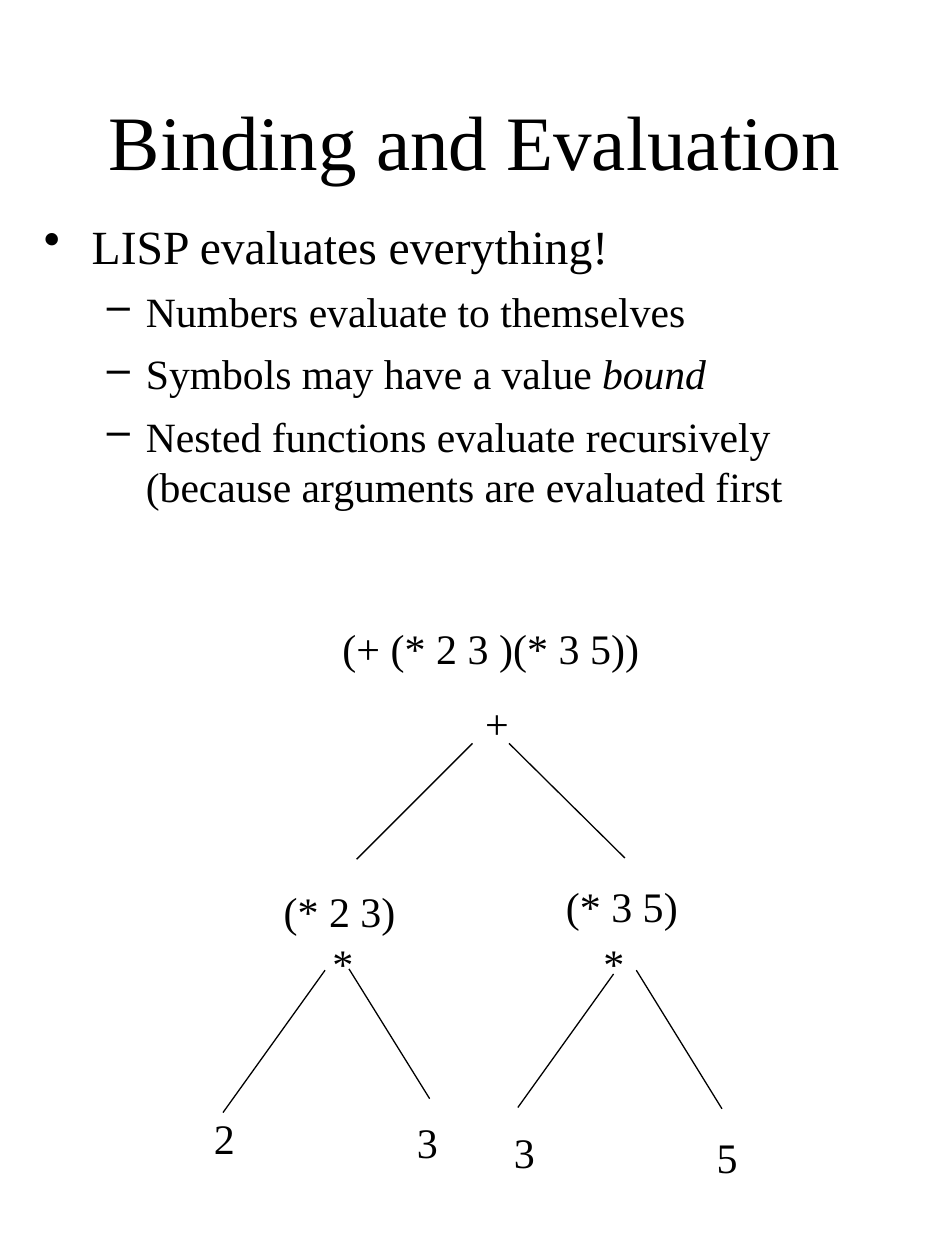
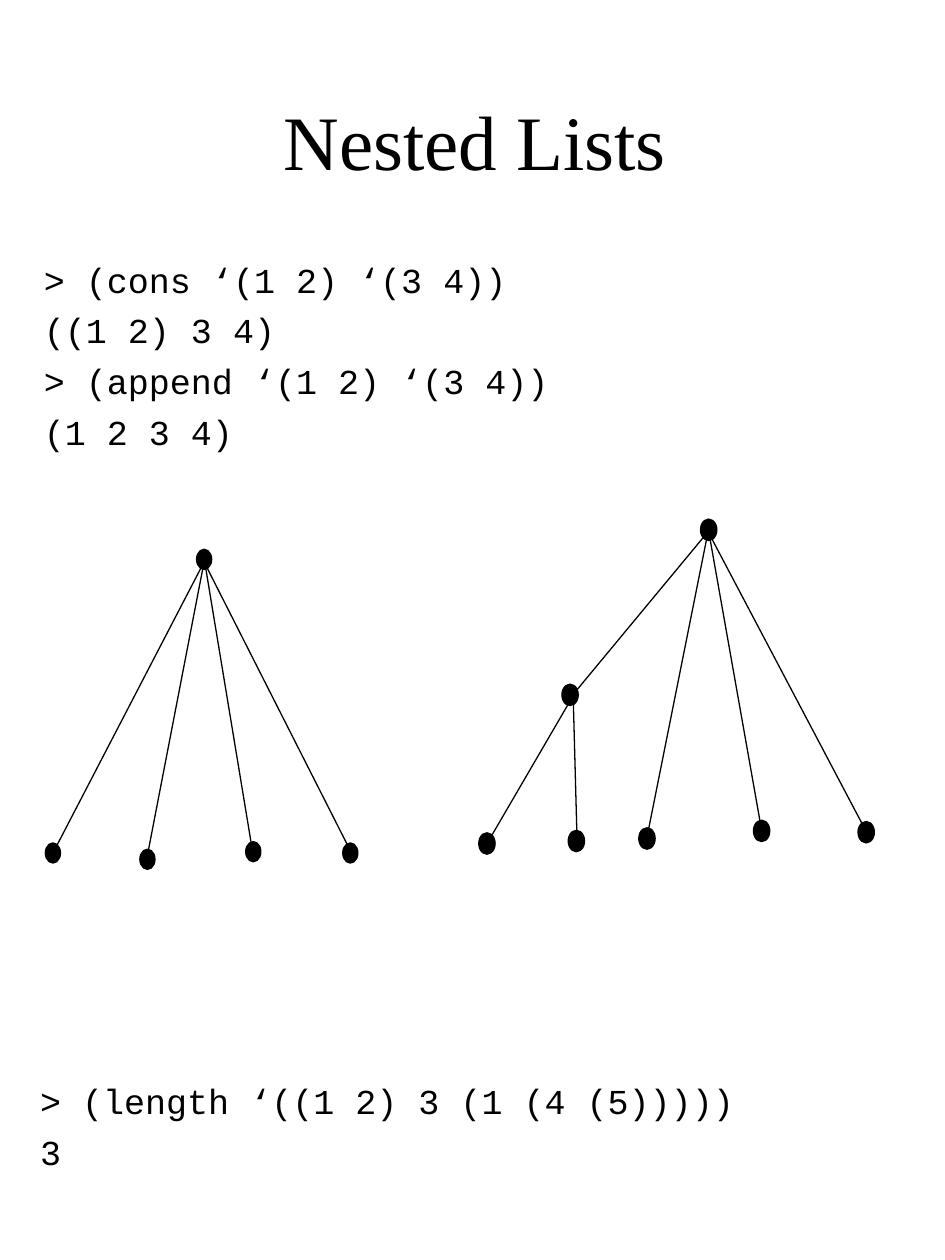
"""Build two slides on LISP evaluation and nested lists."""
from lxml.etree import SubElement
from pptx import Presentation
from pptx.dml.color import RGBColor
from pptx.enum.shapes import MSO_CONNECTOR, MSO_SHAPE
from pptx.enum.text import MSO_ANCHOR, MSO_AUTO_SIZE, PP_ALIGN
from pptx.oxml.ns import qn
from pptx.util import Pt

PX = 9144
BLACK = "000000"
LINE_WIDTH = Pt(0.75)
SERIF = "Times New Roman"
MONO = "Courier New"

STYLES = {
    "title": {"font": {"name": SERIF, "size": Pt(44)},
              "paragraph": {"alignment": PP_ALIGN.CENTER}},
    "point": {"font": {"name": SERIF, "size": Pt(27.2)}, "bullet": "•", "indent": (38, -38),
              "paragraph": {}},
    "subpoint": {"font": {"name": SERIF, "size": Pt(23.8)}, "bullet": "–", "indent": (81, -31),
                 "paragraph": {"space_before": Pt(7), "level": 1}},
    "code": {"font": {"name": MONO, "size": Pt(20)}, "indent": (38, -38),
             "paragraph": {"space_before": Pt(5)}},
    "label": {"font": {"name": SERIF, "size": Pt(24)},
              "paragraph": {"alignment": PP_ALIGN.CENTER}},
}


def add_text(slide, box, paragraphs, frame_format):
    """Add a text box; each paragraph is a style name followed by its runs."""
    frame = slide.shapes.add_textbox(*(value * PX for value in box)).text_frame
    for name, value in frame_format.items():
        setattr(frame, name, value)
    for index, (style_name, *texts) in enumerate(paragraphs):
        style = STYLES[style_name]
        paragraph = frame.add_paragraph() if index else frame.paragraphs[0]
        properties = paragraph._p.get_or_add_pPr()
        if "indent" in style:
            for name, value in zip(("marL", "indent"), style["indent"]):
                properties.set(name, str(value * PX))
        if "bullet" in style:
            SubElement(properties, qn("a:buChar")).set("char", style["bullet"])
        for name, value in style["paragraph"].items():
            if index or name != "space_before":
                setattr(paragraph, name, value)
        for position, text in enumerate(texts):
            run = paragraph.add_run()
            run.text = text
            for name, value in style["font"].items():
                setattr(run.font, name, value)
            run.font.italic = position == 1
            run.font.color.rgb = RGBColor.from_string(BLACK)


def add_line(shapes, *ends):
    """Add a thin black line between two points."""
    line = shapes.add_connector(MSO_CONNECTOR.STRAIGHT, *(value * PX for value in ends))
    line.line.color.rgb = RGBColor.from_string(BLACK)
    line.line.width = LINE_WIDTH
    SubElement(line._element.spPr, qn("a:effectLst"))


presentation = Presentation()
presentation.slide_width = 750 * PX
presentation.slide_height = 1000 * PX
blank_layout = presentation.slide_layouts[6]

wrapped = {"word_wrap": True}
centred = {"word_wrap": True, "vertical_anchor": MSO_ANCHOR.MIDDLE}
fitted = {"word_wrap": False, "auto_size": MSO_AUTO_SIZE.SHAPE_TO_FIT_TEXT}

slides = []
for title in ("Binding and Evaluation", "Nested Lists"):
    slide = presentation.slides.add_slide(blank_layout)
    add_text(slide, (58, 51, 638, 119), [("title", title)], centred)
    slides.append(slide)
evaluation_slide, lists_slide = slides

add_text(evaluation_slide, (25, 167, 700, 242), [
    ("point", "LISP evaluates everything!"),
    ("subpoint", "Numbers evaluate to themselves"),
    ("subpoint", "Symbols may have a value ", "bound"),
    ("subpoint", "Nested functions evaluate recursively (because arguments are evaluated first"),
], wrapped)

expression_labels = [
    ("(+ (* 2 3 )(* 3 5))", 259, 489, 261),
    ("+", 375, 549, 39),
    ("(* 2 3)", 215, 698, 109),
    ("(* 3 5)", 439, 694, 109),
    ("*", 254, 739, 36),
    ("*", 469, 739, 36),
    ("2", 160, 878, 36),
    ("3", 321, 881, 36),
    ("3", 398, 889, 36),
    ("5", 559, 893, 36),
]
for text, left, top, width in expression_labels:
    add_text(evaluation_slide, (left, top, width, 50), [("label", text)], fitted)

expression_branches = [
    (375, 590, 283, 682), (404, 590, 496, 681),
    (258, 770, 177, 883), (277, 769, 341, 872),
    (487, 773, 411, 879), (505, 770, 573, 880),
]
for branch in expression_branches:
    add_line(evaluation_slide.shapes, *branch)

add_text(lists_slide, (25, 200, 700, 192), [
    ("code", "> (cons ‘(1 2) ‘(3 4))"),
    ("code", "((1 2) 3 4)"),
    ("code", "> (append ‘(1 2) ‘(3 4))"),
    ("code", "(1 2 3 4)"),
], wrapped)
add_text(lists_slide, (22, 852, 700, 89), [
    ("code", "> (length ‘((1 2) 3 (1 (4 (5)))))"),
    ("code", "3"),
], wrapped)

flat_tree = {
    "shapes": lists_slide.shapes.add_group_shape().shapes,
    "node_size": (12, 16),
    "nodes": [(156, 436), (36, 669), (111, 674), (195, 668), (272, 669)],
    "branches": [(162, 446, 41, 679), (162, 446, 117, 679),
                 (162, 443, 201, 679), (162, 446, 278, 675)],
}
nested_tree = {
    "shapes": lists_slide.shapes,
    "node_size": (13, 17),
    "nodes": [(556, 412), (446, 543), (507, 657), (598, 651), (681, 652),
              (380, 661), (451, 659)],
    "branches": [(562, 422, 455, 551), (562, 422, 514, 662), (562, 419, 605, 662),
                 (562, 422, 687, 659), (455, 552, 388, 667), (455, 556, 458, 667)],
}
for tree in (flat_tree, nested_tree):
    for corner in tree["nodes"]:
        bounds = (value * PX for value in corner + tree["node_size"])
        node = tree["shapes"].add_shape(MSO_SHAPE.OVAL, *bounds)
        node.shadow.inherit = False
        node.fill.solid()
        node.fill.fore_color.rgb = RGBColor.from_string(BLACK)
        node.line.color.rgb = RGBColor.from_string(BLACK)
        node.line.width = LINE_WIDTH
    for branch in tree["branches"]:
        add_line(tree["shapes"], *branch)

presentation.save("out.pptx")
